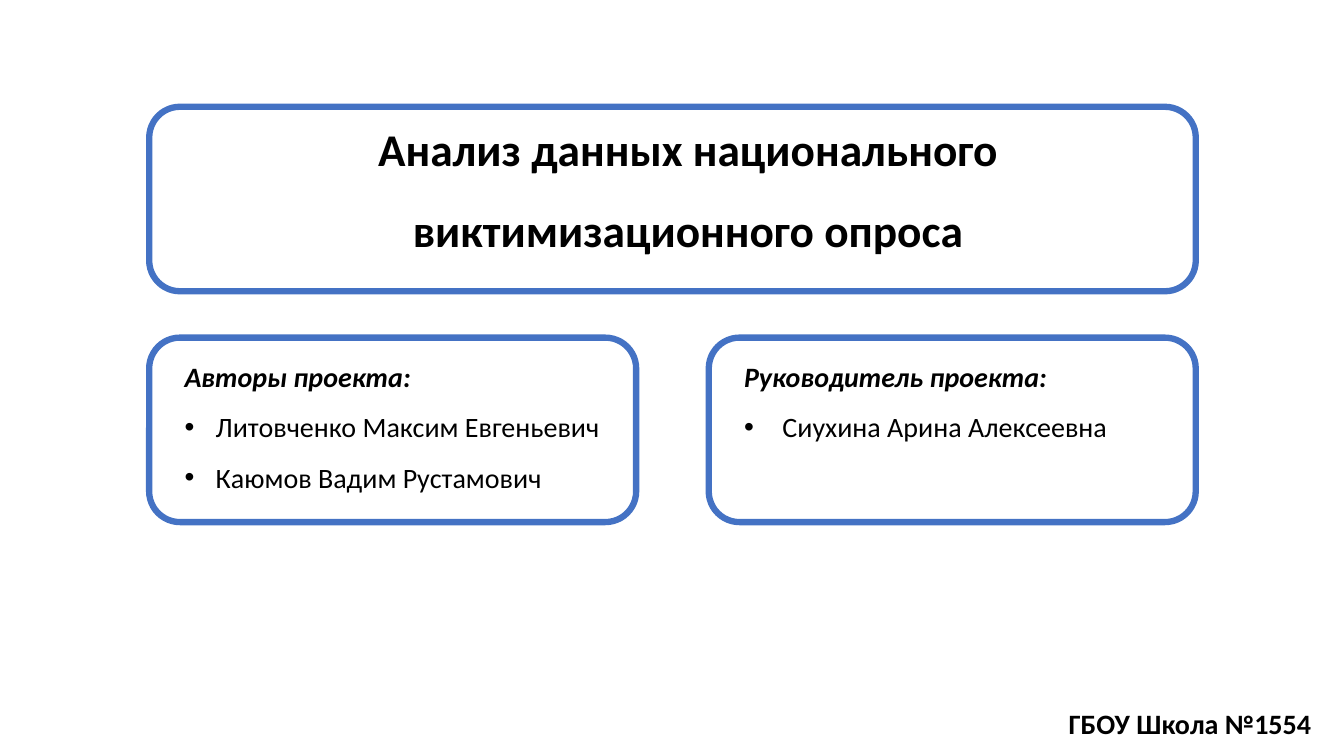
from dataclasses import dataclass

from pptx import Presentation
from pptx import util as u
from pptx.dml.color import RGBColor
from pptx.enum import shapes, text
from pptx.oxml.ns import qn
from pptx.oxml.xmlchemy import OxmlElement

HUES = {"paper": "FFFFFF", "edge": "4472C4", "ink": "000000"}
LEFT, RIGHT = 1.48, 7.03
WIDE, HALF, HIGH = 10.38, 4.83, 1.83
TOP, LOW = 1.06, 3.35
PAD = 0.25


@dataclass
class Area:
    left: float
    top: float
    width: float
    height: float

    def emus(self) -> list:
        return [u.Inches(n) for n in (self.left, self.top, self.width, self.height)]


@dataclass
class Team:
    left: float
    height: float
    role: str
    names: tuple
    indent: float


TEAMS = (
    Team(LEFT, 1.56, "Авторы проекта:",
         ("Литовченко Максим Евгеньевич", "Каюмов Вадим Рустамович"), 0.31),
    Team(RIGHT, 1.06, "Руководитель проекта:", ("Сиухина Арина Алексеевна",), 0.38),
)


def tint(key: str) -> RGBColor:
    return RGBColor.from_string(HUES[key])


def apply(item, values: dict) -> None:
    for key, value in values.items():
        setattr(item, key, value)


def add_box(slide, area: Area) -> None:
    box = slide.shapes.add_shape(shapes.MSO_SHAPE.ROUNDED_RECTANGLE, *area.emus())
    box.shadow.inherit = False
    box.fill.solid()
    box.fill.fore_color.rgb = tint("paper")
    box.line.color.rgb = tint("edge")
    box.line.width = u.Pt(4.5)


def place(slide, holder, area: Area, anchor) -> None:
    """Move a placeholder to its area, in front of the boxes."""
    apply(holder, dict(zip(("left", "top", "width", "height"), area.emus())))
    apply(holder.text_frame, {"word_wrap": True, "vertical_anchor": anchor,
                              "auto_size": text.MSO_AUTO_SIZE.NONE})
    slide.shapes._spTree.append(holder._element)


def write(para, words: str, size: float = 20, bold: bool = True,
          slant: bool = False, space: float = 1.5) -> None:
    run = para.add_run()
    run.text = words
    apply(run.font, {"name": "Calibri", "size": u.Pt(size), "bold": bold, "italic": slant})
    run.font.color.rgb = tint("ink")
    apply(para, {"line_spacing": space, "space_before": u.Pt(0), "space_after": u.Pt(0)})


def set_mark(para, indent: float) -> None:
    """Give the paragraph a bullet with a hanging indent, or none when it is zero."""
    props = para._p.get_or_add_pPr()
    props.set("marL", str(u.Inches(indent)))
    props.set("indent", str(-u.Inches(indent)))
    if not indent:
        props.append(OxmlElement("a:buNone"))
        return
    for tag, key, value in (("a:buFont", "typeface", "Arial"), ("a:buChar", "char", "•")):
        part = OxmlElement(tag)
        part.set(key, value)
        props.append(part)


def add_team(slide, holder, team: Team) -> None:
    add_box(slide, Area(team.left, LOW, HALF, HIGH))
    area = Area(team.left + PAD, LOW, HALF - 2 * PAD, team.height)
    place(slide, holder, area, text.MSO_ANCHOR.TOP)
    frame = holder.text_frame
    head = frame.paragraphs[0]
    write(head, team.role, slant=True)
    set_mark(head, 0)
    for name in team.names:
        para = frame.add_paragraph()
        write(para, name, bold=False)
        set_mark(para, team.indent)


def main() -> None:
    deck = Presentation()
    apply(deck, {"slide_width": u.Inches(13.33), "slide_height": u.Inches(7.5)})
    slide = deck.slides.add_slide(deck.slide_layouts[3])
    title, *lists = slide.placeholders

    add_box(slide, Area(LEFT, TOP, WIDE, HIGH))
    place(slide, title, Area(3.41, 1.36, 6.83, 1.24), text.MSO_ANCHOR.BOTTOM)
    para = title.text_frame.paragraphs[0]
    para.alignment = text.PP_ALIGN.CENTER
    write(para, "Анализ данных национального виктимизационного опроса", 32.4)

    for holder, team in zip(lists, TEAMS):
        add_team(slide, holder, team)

    school = slide.shapes.add_textbox(*Area(10.5, 6.96, 2.71, 0.44).emus())
    school.text_frame.word_wrap = True
    write(school.text_frame.paragraphs[0], "ГБОУ Школа №1554", space=1.0)

    deck.save("out.pptx")


if __name__ == "__main__":
    main()
